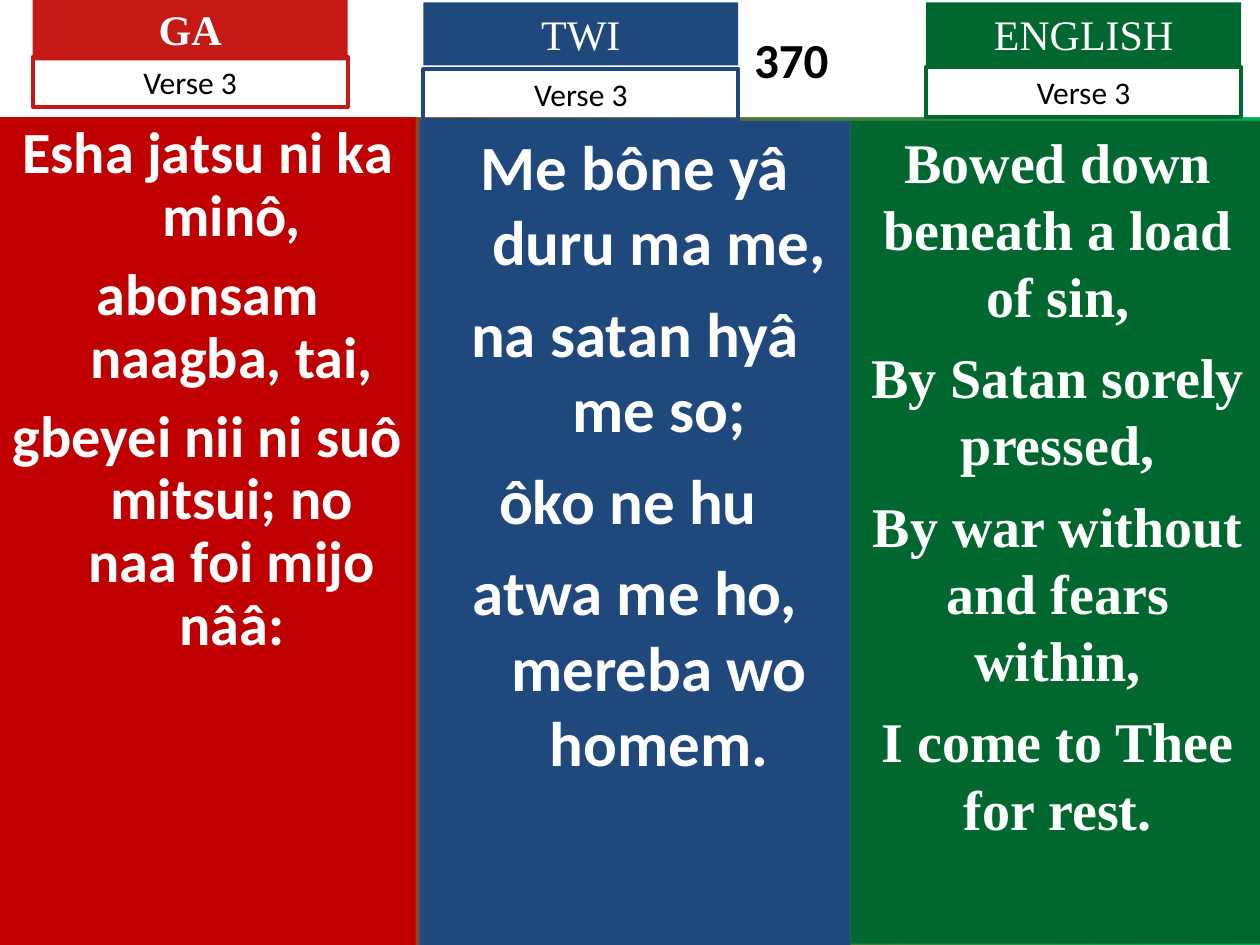
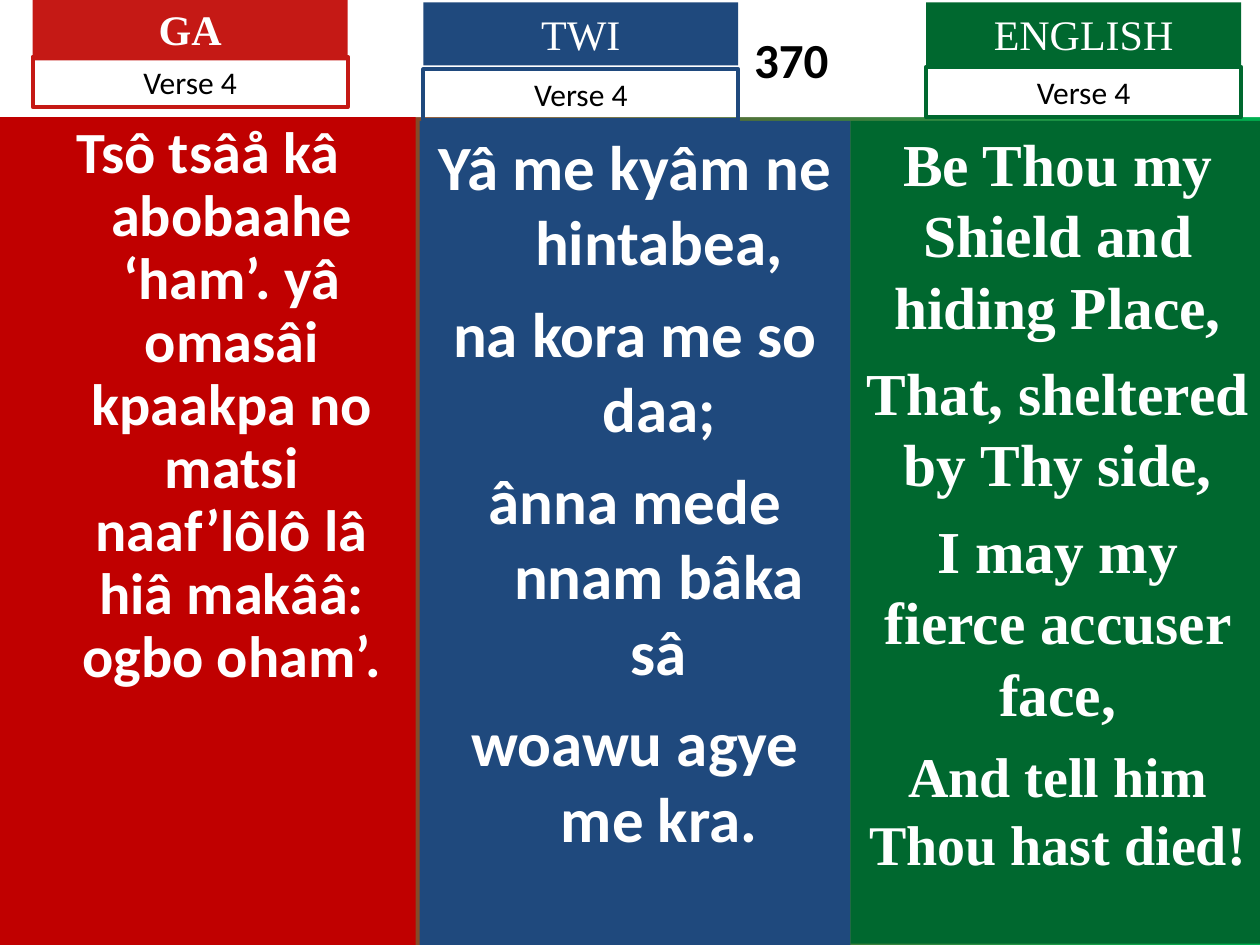
"""Build the verse slides of hymn 370 in Ga, Twi and English."""
import dataclasses

import pptx
import pptx.dml.color
import pptx.enum.text
import pptx.util

SLIDE_WIDTH = pptx.util.Inches(10)
SLIDE_HEIGHT = pptx.util.Inches(7.5)
COLUMN = SLIDE_WIDTH / 100
ROW = SLIDE_HEIGHT / 75
HYMN_NUMBER = "370"

COLORS = {
    "white": "FFFFFF",
    "black": "000000",
    "red": "C51915",
    "dark red": "C00000",
    "blue": "1F497D",
    "green": "00682F",
    "bright green": "00B050",
}
LABEL_FORMAT = {"name": "Times New Roman", "size": pptx.util.Pt(24)}
VERSE_FORMAT = {"name": "Calibri", "size": pptx.util.Pt(18)}
TITLE_FORMAT = {"name": "Calibri", "size": pptx.util.Pt(28), "bold": True}
HANGING_INDENT = {"marL": 3.8, "indent": -3.8}
FIT_SHAPE = pptx.enum.text.MSO_AUTO_SIZE.SHAPE_TO_FIT_TEXT
FIXED_SIZE = pptx.enum.text.MSO_AUTO_SIZE.NONE


@dataclasses.dataclass
class Language:
    """Style and grid places (left, top, width, height) of one language."""

    label: str
    color: str
    panel_color: str
    panel: tuple
    label_place: tuple
    verse_place: tuple
    font: str = "Calibri"
    label_bold: bool = False
    hanging: bool = True
    line_spacing: float = 1.0


LANGUAGES = [
    Language("GA", "red", "dark red", (0, 9.3, 33, 65.7), (2.6, -0.2, 25, 5),
             (2.6, 4.5, 25, 4), label_bold=True, line_spacing=0.9),
    Language("TWI", "blue", "blue", (33.3, 9.6, 34.2, 65.4), (33.6, 0.2, 25, 5),
             (33.6, 5.5, 25, 4)),
    Language("ENGLISH", "green", "green", (67.5, 9.6, 32.9, 65.3),
             (73.5, 0.2, 25, 5), (73.5, 5.3, 25, 4),
             font="Times New Roman", hanging=False),
]

VERSES = {
    "Verse 3": [
        [("Esha jatsu ni ka minô,", 33.3),
         ("abonsam naagba, tai,", 33.3),
         ("gbeyei nii ni suô mitsui; no naa foi mijo nââ:", 33.3)],
        [("Me bône yâ duru ma me,", 36),
         ("na satan hyâ me so;", 36),
         ("ôko ne hu ", 36),
         ("atwa me ho, mereba wo homem.", 36)],
        [("Bowed down beneath a load of sin,", 32),
         ("By Satan sorely pressed,", 32),
         ("By war without and fears within,", 32),
         ("I come to Thee for rest.", 32)],
    ],
    "Verse 4": [
        [("Tsô tsâå kâ abobaahe ‘ham’. yâ omasâi kpaakpa no matsi "
          "naaf’lôlô lâ hiâ makââ: ogbo oham’.", 33.3)],
        [("Yâ me kyâm ne hintabea,", 36),
         ("na kora me so daa;", 36),
         ("ânna mede nnam bâka sâ", 36),
         ("woawu agye me kra.", 36)],
        [("Be Thou my Shield and hiding Place,", 34),
         ("That, sheltered by Thy side,", 34),
         ("I may my fierce accuser face,", 34),
         ("And tell him Thou hast died!", 32)],
    ],
}


def rgb(name):
    """Return the named colour."""
    return pptx.dml.color.RGBColor.from_string(COLORS[name])


def grid_box(place):
    """Turn columns and rows into left, top, width and height."""
    return [round(length * unit)
            for length, unit in zip(place, (COLUMN, ROW, COLUMN, ROW))]


def fill_solid(shape, color):
    """Fill a shape with one colour."""
    shape.fill.solid()
    shape.fill.fore_color.rgb = rgb(color)


def write_paragraph(paragraph, text, color, font_format):
    """Write centred text in the given font format."""
    paragraph.alignment = pptx.enum.text.PP_ALIGN.CENTER
    run = paragraph.add_run()
    run.text = text
    for attribute, value in font_format.items():
        setattr(run.font, attribute, value)
    run.font.color.rgb = rgb(color)


def add_box(slide, place, auto_size):
    """Add a wrapping text box on the grid."""
    box = slide.shapes.add_textbox(*grid_box(place))
    box.text_frame.word_wrap = True
    box.text_frame.auto_size = auto_size
    return box


def add_background(slide):
    """Blend the background from red to green, left to right."""
    fill = slide.background.fill
    fill.gradient()
    fill.gradient_angle = 0
    for stop, color in zip(fill.gradient_stops, ("red", "bright green")):
        stop.color.rgb = rgb(color)


def add_title(slide):
    """Place the hymn number in the white band at the top."""
    title = slide.shapes.title
    title.left, title.top, title.width, title.height = grid_box((0, 0, 100, 9.3))
    fill_solid(title, "white")
    frame_format = {
        "auto_size": FIXED_SIZE,
        "vertical_anchor": pptx.enum.text.MSO_ANCHOR.MIDDLE,
        "margin_left": round(26.6 * COLUMN),
    }
    for attribute, value in frame_format.items():
        setattr(title.text_frame, attribute, value)
    write_paragraph(title.text_frame.paragraphs[0], HYMN_NUMBER, "black", TITLE_FORMAT)


def add_lyrics(slide, language, lines):
    """Add the coloured panel with the lines of the verse."""
    panel = add_box(slide, language.panel, FIXED_SIZE)
    fill_solid(panel, language.panel_color)
    frame = panel.text_frame
    for index, (text, size) in enumerate(lines):
        paragraph = frame.add_paragraph() if index else frame.paragraphs[0]
        paragraph.line_spacing = language.line_spacing
        if index:
            paragraph.space_before = pptx.util.Pt(9 if language.hanging else size / 4)
        if language.hanging:
            properties = paragraph._p.get_or_add_pPr()
            for attribute, columns in HANGING_INDENT.items():
                properties.set(attribute, str(round(columns * COLUMN)))
        write_paragraph(paragraph, text, "white", {
            "name": language.font, "size": pptx.util.Pt(size), "bold": True})


def add_heading(slide, language, verse):
    """Add the language label and the outlined verse label."""
    label = add_box(slide, language.label_place, FIT_SHAPE)
    fill_solid(label, language.color)
    write_paragraph(label.text_frame.paragraphs[0], language.label, "white",
                    LABEL_FORMAT | {"bold": language.label_bold})
    verse_box = add_box(slide, language.verse_place, FIT_SHAPE)
    verse_box.line.color.rgb = rgb(language.color)
    verse_box.line.width = pptx.util.Pt(2.25)
    write_paragraph(verse_box.text_frame.paragraphs[0], verse, "black", VERSE_FORMAT)


def add_verse_slide(presentation, verse, lyrics):
    """Add one slide with a verse in every language."""
    slide = presentation.slides.add_slide(presentation.slide_layouts[5])
    add_background(slide)
    add_title(slide)
    for language, lines in zip(LANGUAGES, lyrics):
        add_lyrics(slide, language, lines)
        add_heading(slide, language, verse)


def main():
    """Build and save the presentation."""
    presentation = pptx.Presentation()
    presentation.slide_width = SLIDE_WIDTH
    presentation.slide_height = SLIDE_HEIGHT
    for verse, lyrics in VERSES.items():
        add_verse_slide(presentation, verse, lyrics)
    presentation.save("out.pptx")


if __name__ == "__main__":
    main()
